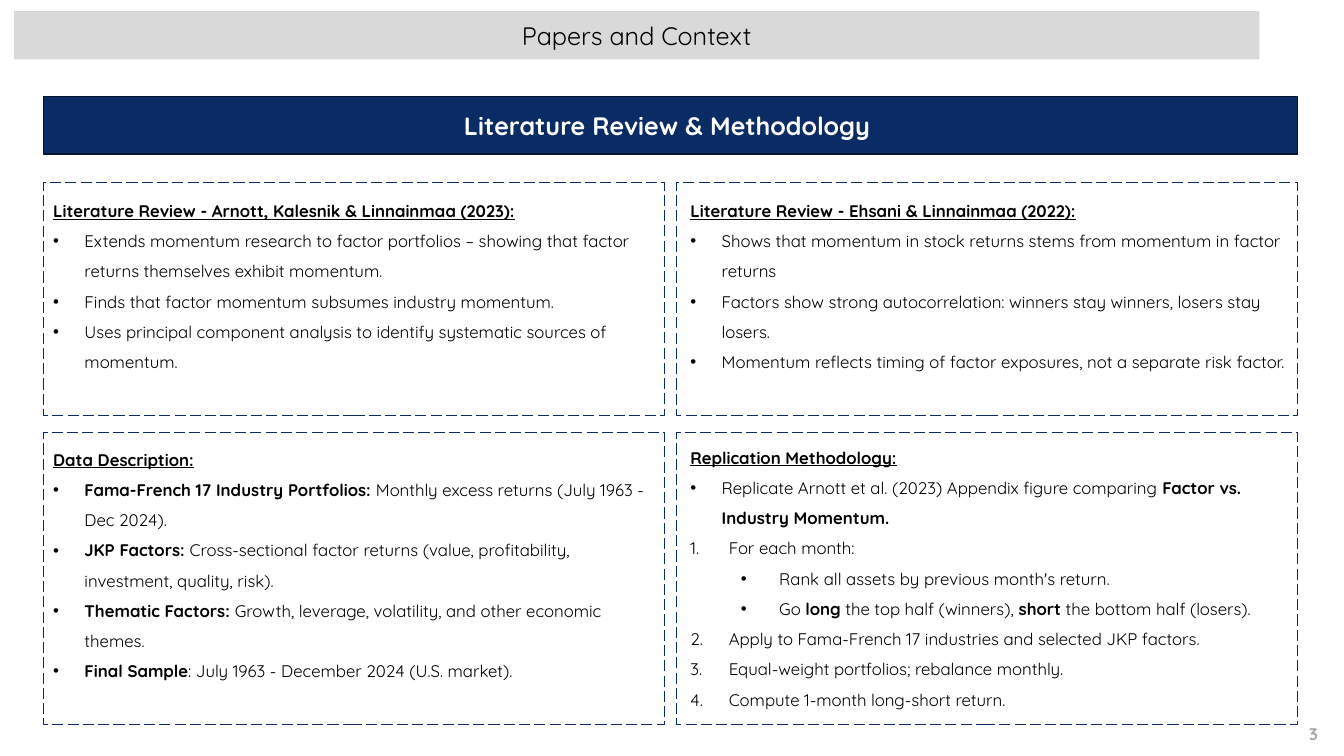
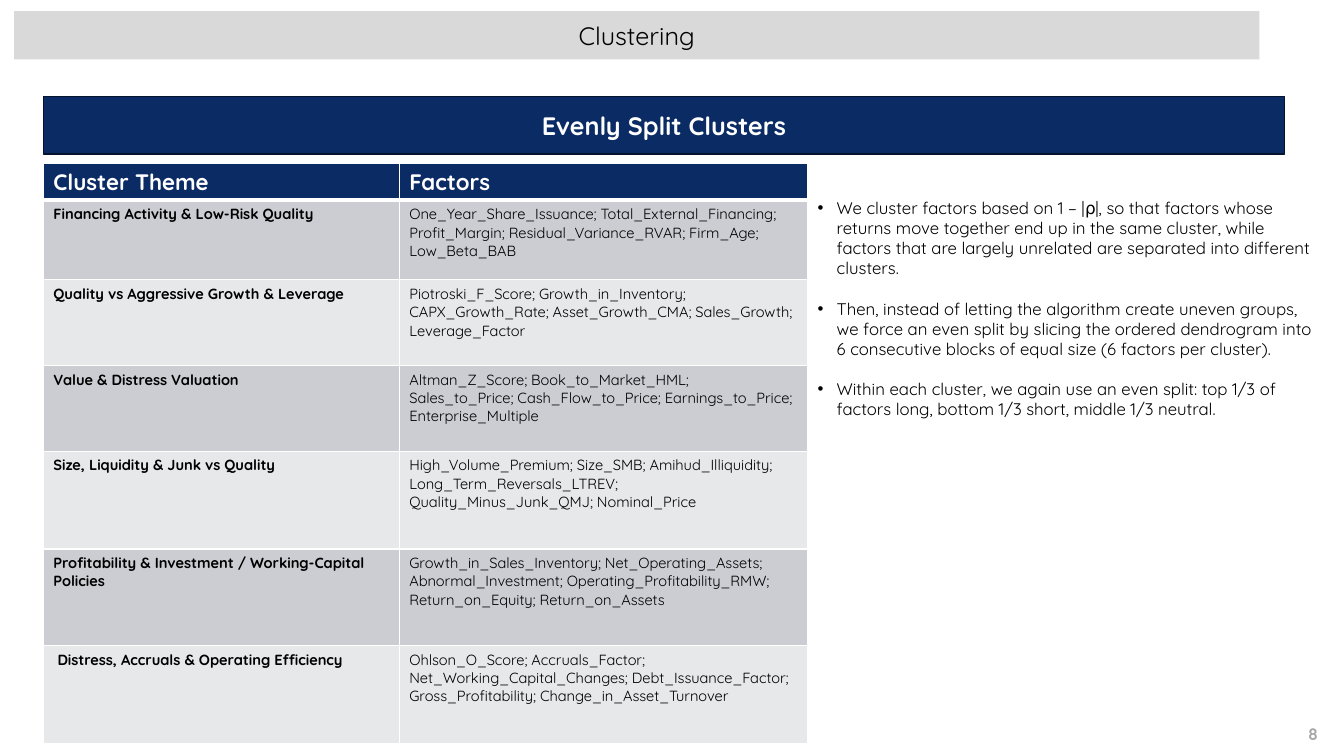
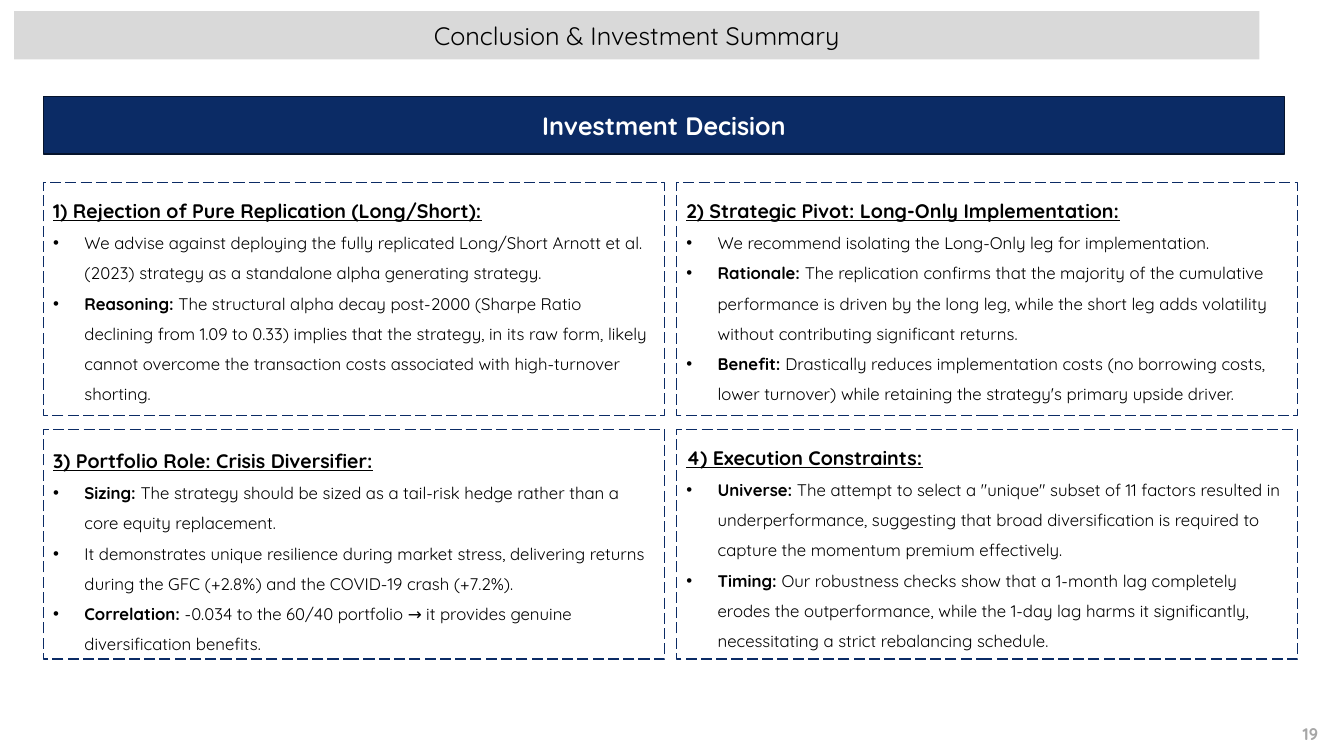
from lxml.etree import SubElement
from pptx import Presentation
from pptx.dml.color import RGBColor
from pptx.enum.dml import MSO_LINE
from pptx.enum.shapes import MSO_SHAPE
from pptx.enum.text import MSO_ANCHOR, PP_ALIGN
from pptx.oxml.ns import qn
from pptx.util import Inches, Pt

FONT = "Quicksand"
HUES = {
    "navy": "0B2B65", "edge": "05132C", "band": "D9D9D9", "page": "A6A6A6",
    "dark": "CCCDD3", "pale": "E7E8EA", "black": "000000", "white": "FFFFFF",
}
# Panel columns, and (left indent, level, bullet) for each kind of line
COLS, WIDE = (0.43, 6.71), 6.16
MARKS = {
    "*": (0.31, 0, "•"),
    "#": (0.38, 0, None),
    "-": (0.88, 1, "•"),
}


def hue(name):
    return RGBColor.from_string(HUES[name])


class Deck:
    def __init__(self):
        self.prs = Presentation()
        self.prs.slide_width = Inches(13.33)
        self.prs.slide_height = Inches(7.5)
        self.slide = None

    def style(self, para, size, color="black", bold=False):
        for run in para.runs:
            font = run.font
            font.name, font.size, font.bold = FONT, Pt(size), bold
            font.color.rgb = hue(color)

    def rich(self, para, text, size):
        """Add text in which ** switches bold on and off."""
        for n, part in enumerate(text.split("**")):
            if part:
                run = para.add_run()
                run.text = part
                font = run.font
                font.name, font.size, font.bold = FONT, Pt(size), n % 2 == 1
                font.color.rgb = hue("black")

    def bullet(self, para, left, hang, char):
        props = para._p.get_or_add_pPr()
        props.set("marL", str(Inches(left)))
        props.set("indent", str(-Inches(hang)))
        if char:
            SubElement(props, qn("a:buFont")).set("typeface", "Arial")
            SubElement(props, qn("a:buChar")).set("char", char)
        else:
            SubElement(props, qn("a:buFont")).set("typeface", "+mj-lt")
            SubElement(props, qn("a:buAutoNum")).set("type", "arabicPeriod")

    def rect(self, left, top, wide, high, fill=None, line=None):
        box = self.slide.shapes.add_shape(
            MSO_SHAPE.RECTANGLE, Inches(left), Inches(top), Inches(wide), Inches(high))
        box.shadow.inherit = False
        if fill:
            box.fill.solid()
            box.fill.fore_color.rgb = hue(fill)
        else:
            box.fill.background()
        if line:
            box.line.color.rgb = hue(line)
            box.line.width = Pt(1)
        else:
            box.line.fill.background()
        return box

    def label(self, box, text, color, bold):
        frame = box.text_frame
        frame.text = text
        frame.word_wrap = True
        frame.vertical_anchor = MSO_ANCHOR.MIDDLE
        para = frame.paragraphs[0]
        para.alignment = PP_ALIGN.CENTER
        self.style(para, 18, color, bold)

    def text(self, left, top, wide, high):
        box = self.slide.shapes.add_textbox(
            Inches(left), Inches(top), Inches(wide), Inches(high))
        box.text_frame.word_wrap = True
        return box.text_frame

    def page(self, title, banner, wide, num):
        """Start a slide with its title band, banner and page number."""
        self.slide = self.prs.slides.add_slide(self.prs.slide_layouts[6])
        self.label(self.rect(0.14, 0.11, 12.35, 0.48, "band"), title, "black", False)
        self.label(self.rect(0.43, 0.96, wide, 0.57, "navy", "edge"), banner, "white", True)
        frame = self.text(12.49, 7.13, 0.68, 0.3)
        frame.text = str(num)
        frame.paragraphs[0].alignment = PP_ALIGN.RIGHT
        self.style(frame.paragraphs[0], 12, "page", True)

    def panel(self, col, top, high, head, lines, size=14, wide=WIDE, shift=(0, 0)):
        """Dashed frame with an underlined heading and a list."""
        left = COLS[col]
        frame = self.text(left + shift[0], top + shift[1], wide, high)
        para = frame.paragraphs[0]
        para.text = head
        para.line_spacing = 1.5
        self.style(para, size, bold=True)
        para.runs[0].font.underline = True
        for line in lines:
            para = frame.add_paragraph()
            left_in, level, char = MARKS[line[0]]
            para.level = level
            para.line_spacing = 1.5
            self.bullet(para, left_in, 0.31 if line[0] == "*" else 0.38, char)
            self.rich(para, line[2:], 12)
        self.rect(left, top, WIDE, high, line="navy").line.dash_style = MSO_LINE.LONG_DASH

    def notes(self, left, top, wide, high, lines):
        frame = self.text(left, top, wide, high)
        for n, line in enumerate(lines):
            para = frame.add_paragraph() if n else frame.paragraphs[0]
            if n:
                para.space_before = Pt(14.4)
            self.bullet(para, 0.19, 0.19, "•")
            self.rich(para, line, 12)

    def border(self, cell, head):
        props = cell._tc.get_or_add_tcPr()
        for side in ("lnL", "lnR", "lnT", "lnB"):
            thick = (head and side == "lnB") or (not head and side == "lnT" and head is None)
            line = SubElement(props, qn("a:" + side))
            line.set("w", str(Pt(3 if thick else 1)))
            SubElement(SubElement(line, qn("a:solidFill")), qn("a:srgbClr")).set(
                "val", HUES["white"])

    def table(self, left, top, wides, highs, rows):
        grid = self.slide.shapes.add_table(
            len(rows), len(wides), Inches(left), Inches(top),
            Inches(sum(wides)), Inches(sum(highs))).table
        grid.horz_banding = False
        for col, wide in zip(grid.columns, wides):
            col.width = Inches(wide)
        for r, (row, high) in enumerate(zip(rows, highs)):
            grid.rows[r].height = Inches(high)
            for c, text in enumerate(row):
                cell = grid.cell(r, c)
                # None marks the row below the heavy header rule
                self.border(cell, True if r == 0 else None if r == 1 else False)
                cell.fill.solid()
                fill = "navy" if r == 0 else "dark" if r % 2 else "pale"
                cell.fill.fore_color.rgb = hue(fill)
                cell.text_frame.text = text
                para = cell.text_frame.paragraphs[0]
                if r == 0:
                    self.style(para, 16, "white", True)
                else:
                    self.style(para, 10.5, bold=c == 0)


def papers(deck):
    deck.page("Papers and Context", "Literature Review & Methodology ", 12.44, 3)
    deck.panel(0, 1.81, 2.31, "Literature Review - Arnott, Kalesnik & Linnainmaa (2023):", [
        "* Extends momentum research to factor portfolios – showing that factor returns "
        "themselves exhibit momentum.",
        "* Finds that factor momentum subsumes industry momentum.",
        "* Uses principal component analysis to identify systematic sources of momentum.",
    ], 12, 6.24, (0, 0.03))
    deck.panel(1, 1.81, 2.31, "Literature Review - Ehsani & Linnainmaa (2022):", [
        "* Shows that momentum in stock returns stems from momentum in factor returns",
        "* Factors show strong autocorrelation: winners stay winners, losers stay losers.",
        "* Momentum reflects timing of factor exposures, not a separate risk factor.",
    ], 12, 6.24, (0.04, 0.03))
    deck.panel(0, 4.29, 2.9, "Data Description:", [
        "* **Fama-French 17 Industry Portfolios: **Monthly excess returns "
        "(July 1963 - Dec 2024).",
        "* **JKP Factors: **Cross-sectional factor returns (value, profitability, "
        "investment, quality, risk).",
        "* **Thematic Factors: **Growth, leverage, volatility, and other economic themes.",
        "* **Final Sample**: July 1963 - December 2024 (U.S. market).",
    ], 12, 6.24, (0, 0.02))
    deck.panel(1, 4.29, 2.9, "Replication Methodology:", [
        "* Replicate Arnott et al. (2023) Appendix figure comparing "
        "**Factor vs. Industry Momentum.**",
        "# For each month:",
        "- Rank all assets by previous month's return.",
        "- Go **long** the top half (winners), **short** the bottom half (losers).",
        "# Apply to Fama-French 17 industries and selected JKP factors.",
        "# Equal-weight portfolios; rebalance monthly.",
        "# Compute 1-month long-short return.",
    ], 12, 6.24, (0.04, 0))


def clusters(deck):
    deck.page("Clustering", "Evenly Split Clusters", 12.31, 8)
    deck.table(0.43, 1.62, (3.53, 4.05), (0.31, 0.79, 0.85, 0.85, 0.97, 0.96, 0.97), [
        ("Cluster Theme", "Factors"),
        ("Financing Activity & Low-Risk Quality",
         "One_Year_Share_Issuance; Total_External_Financing; Profit_Margin; "
         "Residual_Variance_RVAR; Firm_Age; Low_Beta_BAB"),
        ("Quality vs Aggressive Growth & Leverage",
         "Piotroski_F_Score; Growth_in_Inventory; CAPX_Growth_Rate; Asset_Growth_CMA; "
         "Sales_Growth; Leverage_Factor"),
        ("Value & Distress Valuation",
         "Altman_Z_Score; Book_to_Market_HML; Sales_to_Price; Cash_Flow_to_Price; "
         "Earnings_to_Price; Enterprise_Multiple"),
        ("Size, Liquidity & Junk vs Quality",
         "High_Volume_Premium; Size_SMB; Amihud_Illiquidity; Long_Term_Reversals_LTREV; "
         "Quality_Minus_Junk_QMJ; Nominal_Price"),
        ("Profitability & Investment / Working-Capital Policies",
         "Growth_in_Sales_Inventory; Net_Operating_Assets; Abnormal_Investment; "
         "Operating_Profitability_RMW; Return_on_Equity; Return_on_Assets"),
        (" Distress, Accruals & Operating Efficiency",
         "Ohlson_O_Score; Accruals_Factor; Net_Working_Capital_Changes; "
         "Debt_Issuance_Factor; Gross_Profitability; Change_in_Asset_Turnover"),
    ])
    deck.notes(8.01, 1.91, 5.12, 2.83, [
        "We cluster factors based on 1 − |⍴|, so that factors whose returns move together "
        "end up in the same cluster, while factors that are largely unrelated are "
        "separated into different clusters.",
        "Then, instead of letting the algorithm create uneven groups, we force an even "
        "split by slicing the ordered dendrogram into 6 consecutive blocks of equal size "
        "(6 factors per cluster).",
        "Within each cluster, we again use an even split: top 1/3 of factors long, "
        "bottom 1/3 short, middle 1/3 neutral.",
    ])


def summary(deck):
    deck.page("Conclusion & Investment Summary", "Investment Decision", 12.31, 19)
    deck.panel(0, 1.81, 2.31, "1) Rejection of Pure Replication (Long/Short):", [
        "* We advise against deploying the fully replicated Long/Short Arnott et al. (2023) "
        "strategy as a standalone alpha generating strategy.",
        "* **Reasoning:** The structural alpha decay post-2000 (Sharpe Ratio declining from "
        "1.09 to 0.33) implies that the strategy, in its raw form, likely cannot overcome "
        "the transaction costs associated with high-turnover shorting.",
    ])
    deck.panel(1, 1.81, 2.31, "2) Strategic Pivot: Long-Only Implementation:", [
        "* We recommend isolating the Long-Only leg for implementation.",
        "* **Rationale: **The replication confirms that the majority of the cumulative "
        "performance is driven by the long leg, while the short leg adds volatility "
        "without contributing significant returns.",
        "* **Benefit: **Drastically reduces implementation costs (no borrowing costs, lower "
        "turnover) while retaining the strategy's primary upside driver.",
    ])
    deck.panel(0, 4.26, 2.28, "3) Portfolio Role: Crisis Diversifier:", [
        "* **Sizing: **The strategy should be sized as a tail-risk hedge rather than a core "
        "equity replacement.",
        "* It demonstrates unique resilience during market stress, delivering returns "
        "during the GFC (+2.8%) and the COVID-19 crash (+7.2%).",
        "* **Correlation: **-0.034 to the 60/40 portfolio → it provides genuine "
        "diversification benefits.",
    ], shift=(0, 0.03))
    deck.panel(1, 4.26, 2.28, "4) Execution Constraints:", [
        "* **Universe: **The attempt to select a \"unique\" subset of 11 factors resulted in "
        "underperformance, suggesting that broad diversification is required to capture "
        "the momentum premium effectively.",
        "* **Timing: **Our robustness checks show that a 1-month lag completely erodes the "
        "outperformance, while the 1-day lag harms it significantly, necessitating a "
        "strict rebalancing schedule.",
    ])


def main():
    deck = Deck()
    for build in (papers, clusters, summary):
        build(deck)
    deck.prs.save("out.pptx")


if __name__ == "__main__":
    main()
